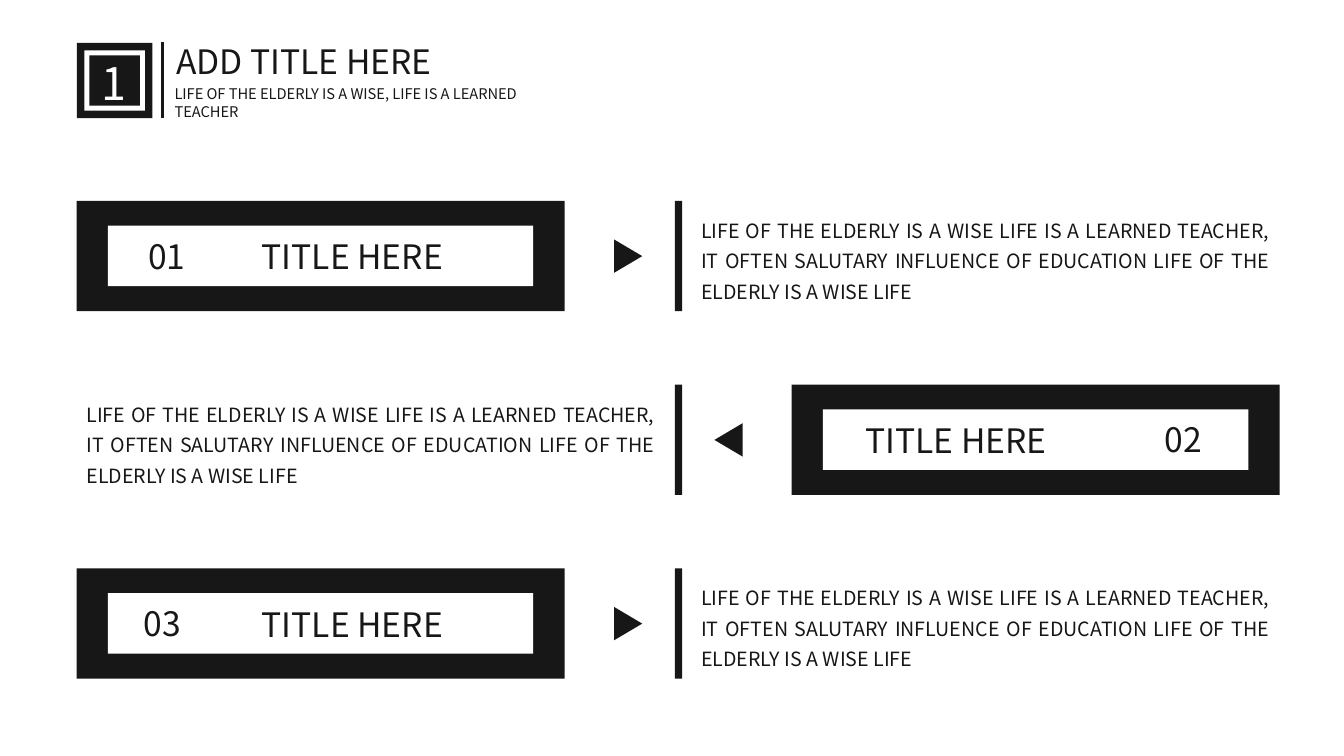
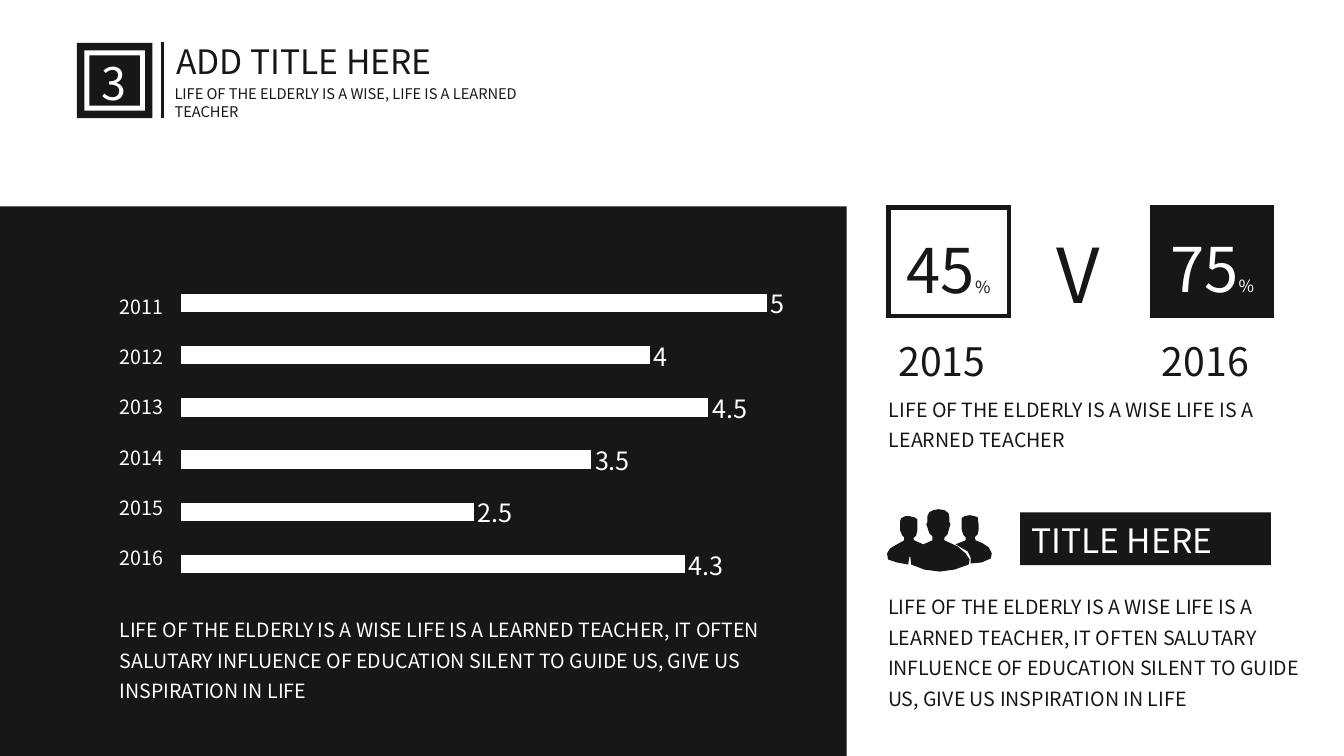
"""Build two black-and-white slides: alternating title rows and a bar chart with a comparison."""
from dataclasses import dataclass

from lxml import etree
from pptx import Presentation
from pptx.chart.data import CategoryChartData
from pptx.dml.color import RGBColor
from pptx.enum.chart import XL_CHART_TYPE, XL_LABEL_POSITION
from pptx.enum.shapes import MSO_CONNECTOR, MSO_SHAPE
from pptx.enum.text import MSO_ANCHOR, MSO_AUTO_SIZE, PP_ALIGN
from pptx.oxml.ns import qn
from pptx.util import Cm, Pt

RECT = MSO_SHAPE.RECTANGLE
TRIANGLE = MSO_SHAPE.ISOSCELES_TRIANGLE
LEFT, CENTER, JUSTIFY = PP_ALIGN.LEFT, PP_ALIGN.CENTER, PP_ALIGN.JUSTIFY
BAR_CLUSTERED = XL_CHART_TYPE.BAR_CLUSTERED
OUTSIDE_END = XL_LABEL_POSITION.OUTSIDE_END

FONT = "Noto Sans CJK SC"
COLORS = {"ink": "181717", "paper": "FFFFFF"}
TITLE_ONLY = 5

ROW_TOP, ROW_PITCH = 5.06, 4.63
FRAME_W, FRAME_H = 12.3, 2.78
PANEL_W, PANEL_H = 10.72, 1.53
YEAR_TOP, YEAR_SPAN = 7.31, 6.32
ICON_LEFT, ICON_TOP = 22.33, 12.83
ICON_UNIT = 2.69 / 106

TITLE = "ADD TITLE HERE"
SUBTITLE = "LIFE OF THE ELDERLY IS A WISE, LIFE IS A LEARNED TEACHER"
HEADING = "TITLE HERE"
SHORT_TEXT = "LIFE OF THE ELDERLY IS A WISE LIFE IS A LEARNED TEACHER"
ROW_TEXT = SHORT_TEXT + (", IT OFTEN SALUTARY INFLUENCE OF EDUCATION "
                         "LIFE OF THE ELDERLY IS A WISE LIFE")
LONG_TEXT = SHORT_TEXT + (", IT OFTEN SALUTARY INFLUENCE OF EDUCATION "
                          "SILENT TO GUIDE US, GIVE US INSPIRATION IN LIFE")

SCORES = {"2011": 5, "2012": 4, "2013": 4.5, "2014": 3.5, "2015": 2.5, "2016": 4.3}


@dataclass(frozen=True)
class Row:
    number: str
    number_left: float
    mirrored: bool = False


@dataclass(frozen=True)
class Share:
    value: str
    year: str
    left: float
    top: float
    fill: str
    color: str


ROWS = [Row("01", 3.49), Row("02", 29.11, True), Row("03", 3.37)]
SHARES = [Share("45", "2015", 22.39, 5.23, "paper", "ink"),
          Share("75", "2016", 29.03, 5.21, "ink", "paper")]

GROUP_OUTLINE = [
    (58, 31), (58, 28), (61, 25), (63, 18), (64, 15), (63, 13), (63, 9), (62, 4),
    (58, 1), (52, 0), (47, 1), (43, 3), (41, 7), (41, 13), (40, 15), (41, 18),
    (43, 24), (46, 27), (46, 31), (37, 35), (28, 31), (27, 29), (30, 26), (31, 21),
    (31, 10), (28, 8), (23, 7), (19, 7), (15, 9), (14, 12), (14, 21), (16, 26),
    (18, 28), (18, 31), (9, 36), (4, 39), (1, 44), (2, 50), (11, 53), (22, 55),
    (23, 48), (28, 41), (24, 47), (25, 55), (38, 60), (53, 62), (68, 60), (82, 55),
    (83, 50), (79, 44), (71, 37),
]
RIGHT_PERSON_OUTLINE = [
    (102, 38), (96, 34), (89, 31), (88, 28), (91, 25), (92, 20), (92, 16), (91, 8),
    (88, 7), (83, 6), (78, 7), (75, 9), (75, 20), (77, 26), (79, 28), (79, 31),
    (69, 35), (81, 42), (84, 48), (84, 54), (95, 53), (104, 49), (105, 44),
]


def rgb(name: str) -> RGBColor:
    return RGBColor.from_string(COLORS[name])


def style_font(font, size: float, color: str) -> None:
    font.name = FONT
    font.size = Pt(size)
    font.color.rgb = rgb(color)


def place(sp, left: float, top: float, width: float, height: float) -> None:
    sp.left, sp.top, sp.width, sp.height = map(Cm, (left, top, width, height))


def paint(sp, fill: str, line_width: float = 0) -> None:
    sp.shadow.inherit = False
    sp.fill.solid()
    sp.fill.fore_color.rgb = rgb(fill)
    if line_width:
        sp.line.color.rgb = rgb("ink")
        sp.line.width = Pt(line_width)
        etree.SubElement(sp._element.spPr.find(qn("a:ln")), qn("a:miter"), lim="800000")
    else:
        sp.line.fill.background()


def add_block(s, left: float, top: float, width: float, height: float,
              fill: str = "ink", kind=RECT, line_width: float = 0):
    sp = s.shapes.add_shape(kind, Cm(left), Cm(top), Cm(width), Cm(height))
    paint(sp, fill, line_width)
    return sp


def add_text(s, text: str, left: float, top: float, width: float, height: float,
             size: float, color: str = "ink", align=LEFT, spacing: float = 1.0):
    tf = s.shapes.add_textbox(Cm(left), Cm(top), Cm(width), Cm(height)).text_frame
    tf.word_wrap = True
    p = tf.paragraphs[0]
    p.text = text
    p.alignment = align
    p.line_spacing = spacing
    style_font(p.font, size, color)
    return p


def add_header(s, number: str) -> None:
    for side, fill in ((1.9, "ink"), (1.52, "paper"), (1.27, "ink")):
        add_block(s, 2.89 - side / 2, 2.03 - side / 2, side, side, fill)
    add_text(s, number, 2.14, 1.29, 1.45, 1.63, 32, "paper", CENTER)

    title = s.shapes.title
    place(title, 4.19, 0.91, 8.66, 1.27)
    tf = title.text_frame
    tf.text = TITLE
    tf.word_wrap = True
    tf.auto_size = MSO_AUTO_SIZE.NONE
    tf.vertical_anchor = MSO_ANCHOR.TOP
    p = tf.paragraphs[0]
    p.alignment = LEFT
    style_font(p.font, 24, "ink")
    add_text(s, SUBTITLE, 4.15, 2.02, 10.08, 1.14, 10.5)

    rule = s.shapes.add_connector(MSO_CONNECTOR.STRAIGHT, Cm(4.09), Cm(1.07), Cm(4.09), Cm(2.97))
    rule.line.color.rgb = rgb("ink")
    rule.line.width = Pt(2.25)
    etree.SubElement(rule._element.spPr, qn("a:effectLst"))


def add_row(s, row: Row, top: float) -> None:
    if row.mirrored:
        frame_left, heading_left, arrow_left, text_left = 19.95, 21.56, 17.94, 1.93
    else:
        frame_left, heading_left, arrow_left, text_left = 1.93, 6.35, 15.41, 17.42
    add_block(s, frame_left, top, FRAME_W, FRAME_H)
    add_block(s, frame_left + (FRAME_W - PANEL_W) / 2, top + (FRAME_H - PANEL_H) / 2,
              PANEL_W, PANEL_H, "paper")
    add_text(s, HEADING, heading_left, top + 0.77, 6.27, 1.27, 24)
    add_text(s, row.number, row.number_left, top + 0.75, 1.63, 1.27, 24)
    add_text(s, ROW_TEXT, text_left, top + 0.15, 14.83, 2.59, 14, align=JUSTIFY, spacing=1.3)
    arrow = add_block(s, arrow_left, top + 1.04, 0.84, 0.71, kind=TRIANGLE)
    arrow.rotation = 270 if row.mirrored else 90
    add_block(s, 17.01, top, 0.18, FRAME_H)


def add_score_chart(s) -> None:
    data = CategoryChartData()
    data.categories = list(reversed(SCORES))
    data.add_series("Series 1", list(reversed(SCORES.values())))
    chart = s.shapes.add_chart(BAR_CLUSTERED, Cm(4.19), Cm(6.81), Cm(18.46), Cm(8.23), data).chart
    chart.has_legend = False
    chart.has_title = False
    style_font(chart.font, 10, "paper")
    axis = chart.value_axis
    axis.minimum_scale, axis.maximum_scale = 0, 6
    axis.has_major_gridlines = False
    axis.visible = False
    chart.category_axis.visible = False

    plot = chart.plots[0]
    plot.gap_width = 182
    plot.vary_by_categories = False
    fill = plot.series[0].format.fill
    fill.solid()
    fill.fore_color.rgb = rgb("paper")
    plot.has_data_labels = True
    labels = plot.data_labels
    labels.show_value = True
    labels.position = OUTSIDE_END
    style_font(labels.font, 18, "paper")


def add_share(s, share: Share) -> None:
    add_block(s, share.left, share.top, 3.03, 2.74, share.fill, line_width=3)
    p = add_text(s, share.value, share.left - 1.29, share.top + 0.49, 5.61, 2.13,
                 44, share.color, CENTER)
    r = p.add_run()
    r.text = "%"
    r.font.size = Pt(12)
    add_text(s, share.year, share.left, 8.38, 3.1, 1.45, 28)


def add_outline(s, outline: list[tuple[int, int]]) -> None:
    points = [(Cm(ICON_LEFT + x * ICON_UNIT), Cm(ICON_TOP + y * ICON_UNIT))
              for x, y in outline]
    builder = s.shapes.build_freeform(*points[0])
    builder.add_line_segments(points[1:], close=True)
    paint(builder.convert_to_shape(), "ink")


def build_rows_slide(s) -> None:
    add_header(s, "1")
    for i, row in enumerate(ROWS):
        add_row(s, row, ROW_TOP + i * ROW_PITCH)


def build_chart_slide(s) -> None:
    add_block(s, 0, 5.2, 21.34, 13.85)
    add_header(s, "3")
    add_score_chart(s)
    year_pitch = YEAR_SPAN / (len(SCORES) - 1)
    for i, year in enumerate(SCORES):
        add_text(s, year, 2.77, YEAR_TOP + i * year_pitch, 1.8, 0.86, 14, "paper")
    add_text(s, LONG_TEXT, 2.76, 15.27, 17.93, 2.59, 14, "paper", spacing=1.3)

    for share in SHARES:
        add_share(s, share)
    add_text(s, "V", 24.38, 5.61, 5.61, 2.57, 54, align=CENTER)
    add_text(s, SHORT_TEXT, 22.15, 9.72, 11.23, 1.8, 14, spacing=1.3)

    for outline in (GROUP_OUTLINE, RIGHT_PERSON_OUTLINE):
        add_outline(s, outline)
    add_block(s, 25.71, 12.91, 6.32, 1.33)
    add_text(s, HEADING, 25.74, 12.98, 6.27, 1.27, 24, "paper")
    add_text(s, LONG_TEXT, 22.13, 14.69, 11.23, 3.38, 14, spacing=1.3)


def main() -> None:
    prs = Presentation()
    prs.slide_width, prs.slide_height = Cm(33.87), Cm(19.05)
    for build in (build_rows_slide, build_chart_slide):
        build(prs.slides.add_slide(prs.slide_layouts[TITLE_ONLY]))
    prs.save("out.pptx")


if __name__ == "__main__":
    main()
